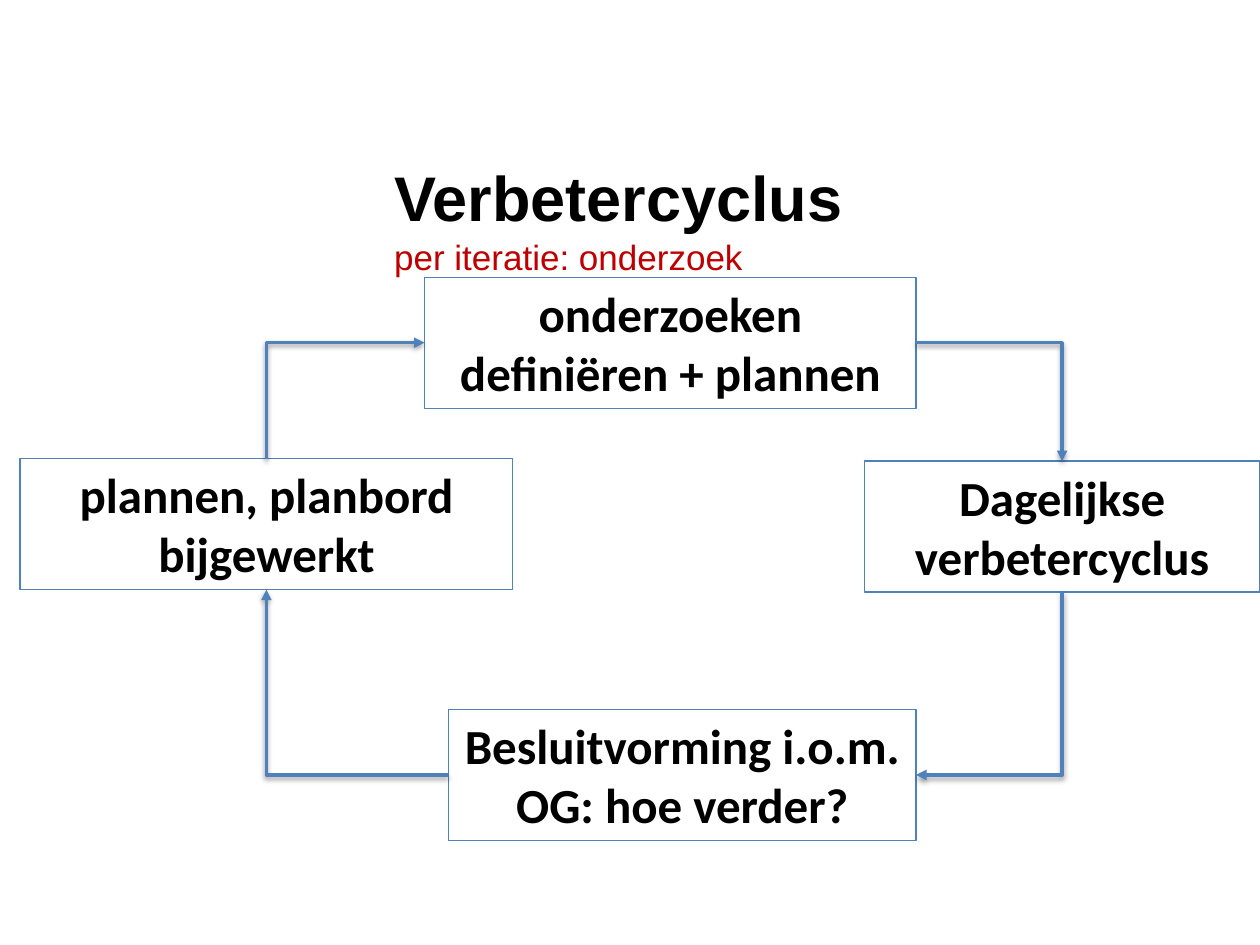
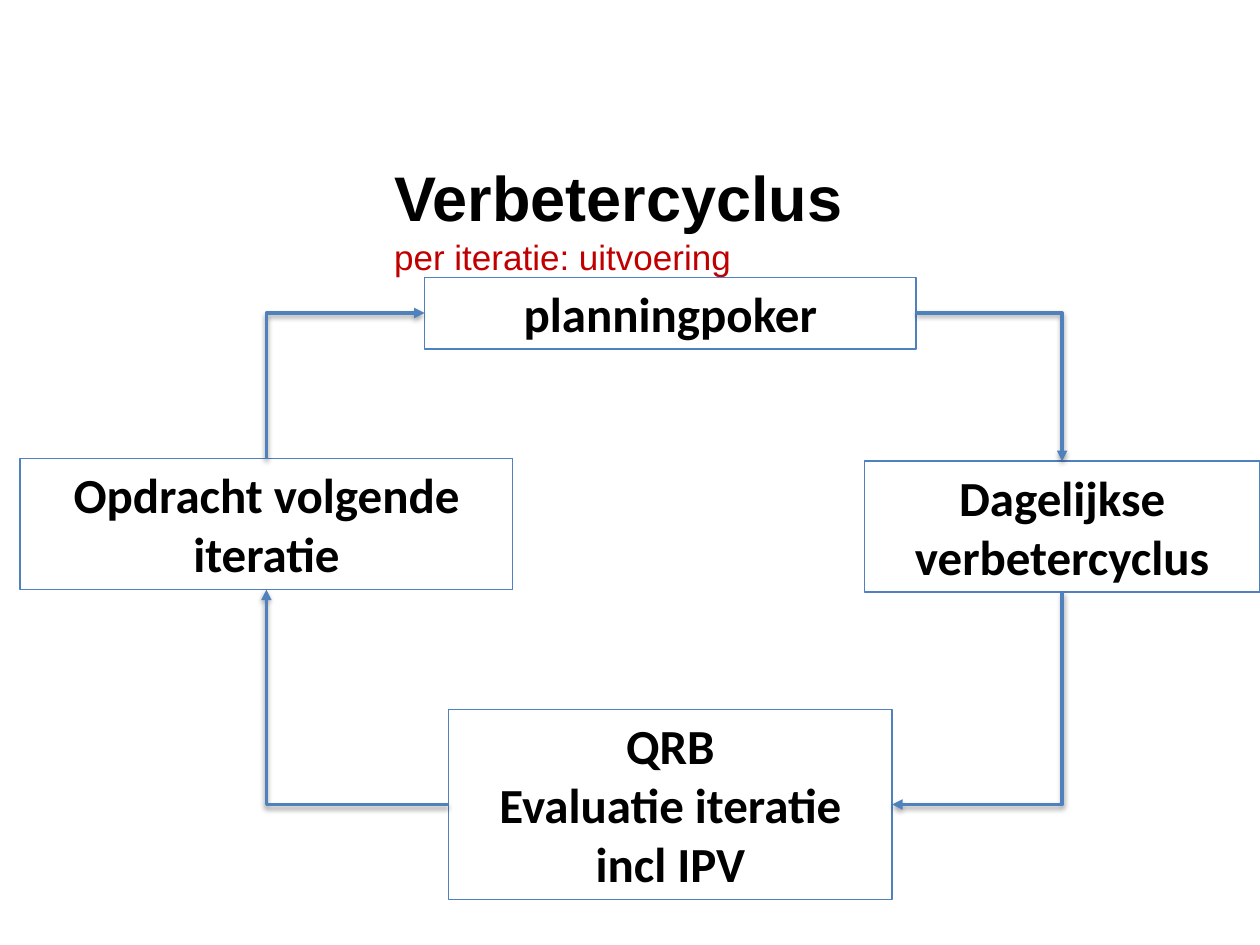
from dataclasses import dataclass
from typing import Any

from lxml.etree import SubElement
from pptx import Presentation
from pptx.dml.color import RGBColor
from pptx.enum.shapes import MSO_CONNECTOR as Link, MSO_SHAPE as Shape
from pptx.enum.text import MSO_ANCHOR as Anchor, MSO_AUTO_SIZE as Fit, PP_ALIGN as Align
from pptx.oxml.ns import qn
from pptx.util import Inches, Pt


def colour(value):
    return RGBColor.from_string(value)


def write(frame, text, font="Arial", size=20, ink="000000", bold=False,
          align=Align.LEFT, anchor=Anchor.TOP):
    frame.word_wrap = True
    frame.vertical_anchor = anchor
    frame.text = text
    for paragraph in frame.paragraphs:
        paragraph.alignment = align
        paragraph.font.name = font
        paragraph.font.size = Pt(size)
        paragraph.font.bold = bold
        paragraph.font.color.rgb = colour(ink)


@dataclass
class Board:
    deck: Any
    slide: Any = None
    blue: str = "4F81BD"
    red: str = "C00000"

    def start(self, subject):
        self.slide = self.deck.slides.add_slide(self.deck.slide_layouts[6])
        self.label("Verbetercyclus", 1.2, 0.71, size=36, bold=True, anchor=Anchor.MIDDLE)
        self.label(f"per iteratie: {subject}", 1.82, 0.43, ink=self.red)

    def label(self, text, top, height, **style):
        area = self.slide.shapes.add_textbox(Inches(3.03), Inches(top), Inches(6.67), Inches(height))
        write(area.text_frame, text, **style)

    def step(self, text, left, top, width, height):
        card = self.slide.shapes.add_shape(
            Shape.RECTANGLE, Inches(left), Inches(top), Inches(width), Inches(height))
        card.shadow.inherit = False
        card.fill.background()
        card.line.color.rgb = colour(self.blue)
        card.line.width = Pt(0.75)
        write(card.text_frame, text, font="Calibri", size=28, bold=True, align=Align.CENTER)
        card.text_frame.auto_size = Fit.SHAPE_TO_FIT_TEXT
        middle, centre = left + width / 2, top + height / 2
        return {"left": (left, centre), "right": (left + width, centre),
                "top": (middle, top), "bottom": (middle, top + height)}

    def arrow(self, start, end, vertical_first=False):
        (x1, y1), (x2, y2) = start, end
        if vertical_first:
            middle, centre = (x1 + x2) / 2, (y1 + y2) / 2
            across, down = (y2 - y1) / 2, (x1 - x2) / 2
            x1, y1 = middle - across, centre - down
            x2, y2 = middle + across, centre + down
        bend = self.slide.shapes.add_connector(
            Link.ELBOW, Inches(x1), Inches(y1), Inches(x2), Inches(y2))
        bend.line.color.rgb = colour(self.blue)
        bend.line.width = Pt(2)
        properties = bend._element.spPr
        properties.find(qn("a:prstGeom")).set("prst", "bentConnector2")
        if vertical_first:
            properties.find(qn("a:xfrm")).set("rot", "5400000")
        SubElement(properties.find(qn("a:ln")), qn("a:tailEnd"), type="triangle")
        effects = SubElement(properties, qn("a:effectLst"))
        shadow = SubElement(effects, qn("a:outerShdw"), blurRad=str(Pt(3.1)),
                            dist=str(Pt(1.6)), dir="5400000", rotWithShape="0")
        black = SubElement(shadow, qn("a:srgbClr"), val="000000")
        SubElement(black, qn("a:alpha"), val="38000")

    def cycle(self, subject, plan, plan_height, review, review_width, review_height, follow_up):
        self.start(subject)
        first = self.step(plan, 3.37, 2.2, 3.9, plan_height)
        third = self.step(review, 3.56, 5.63, review_width, review_height)
        second = self.step("Dagelijkse verbetercyclus", 6.86, 3.66, 3.14, 1.04)
        fourth = self.step(follow_up, 0.16, 3.64, 3.91, 1.04)
        self.arrow(first["right"], second["top"])
        self.arrow(second["bottom"], third["right"], vertical_first=True)
        self.arrow(fourth["top"], first["left"], vertical_first=True)
        self.arrow(third["left"], fourth["bottom"])


def main():
    deck = Presentation()
    deck.slide_width, deck.slide_height = Inches(10), Inches(7.5)
    board = Board(deck)
    board.cycle("onderzoek", "onderzoeken definiëren + plannen", 1.04,
                "Besluitvorming i.o.m. OG: hoe verder?", 3.71, 1.04,
                "plannen, planbord bijgewerkt")
    board.cycle("uitvoering", "planningpoker", 0.57,
                "QRB\nEvaluatie iteratie incl IPV", 3.52, 1.51,
                "Opdracht volgende iteratie")
    deck.save("out.pptx")


if __name__ == "__main__":
    main()
